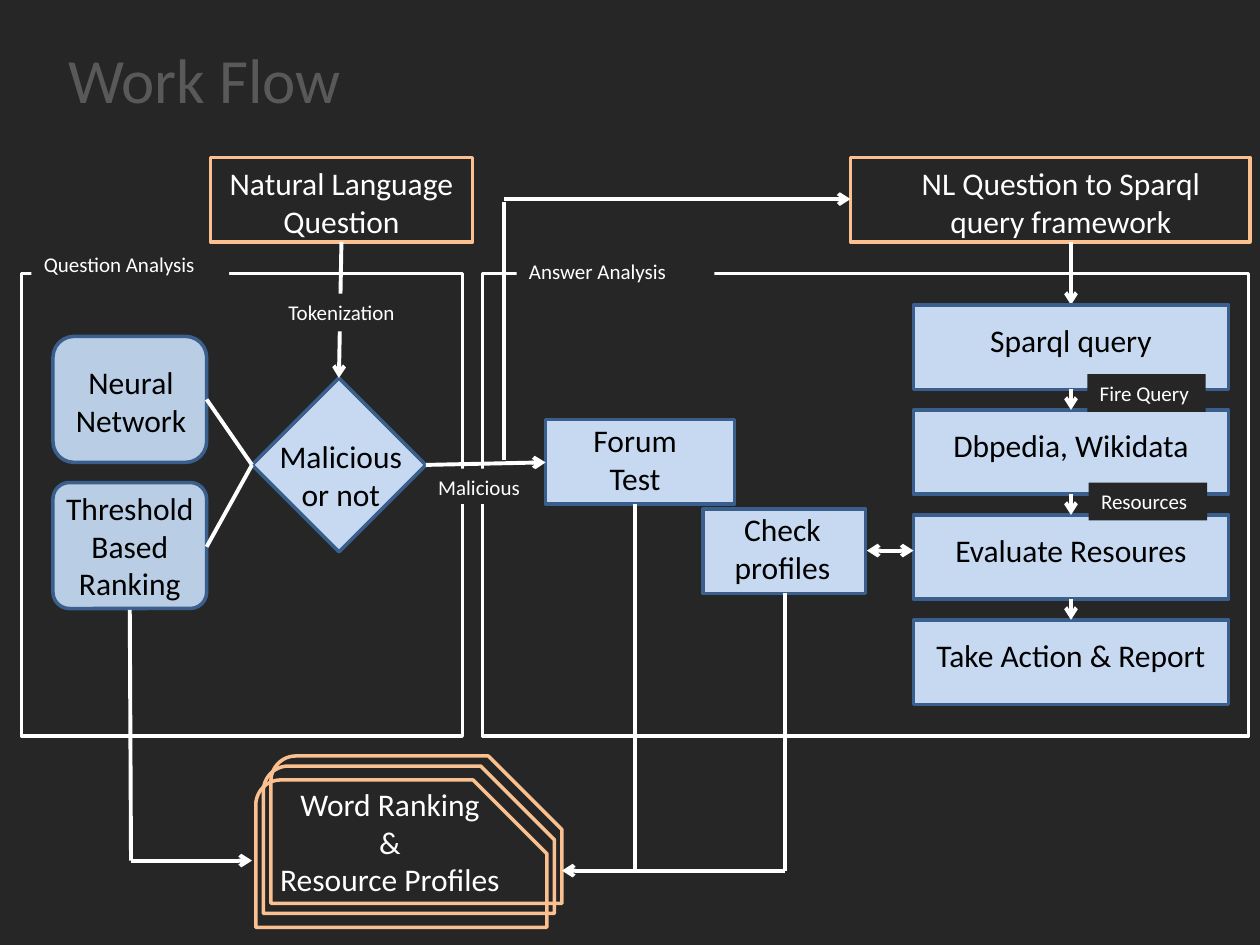
"""Build the work flow slide: question analysis, answer analysis and ranking."""
from dataclasses import dataclass

from pptx import Presentation
from pptx import util as u
from pptx.dml.color import RGBColor
from pptx.enum import shapes, text
from pptx.oxml import ns, xmlchemy as xml

Kind = shapes.MSO_SHAPE


@dataclass(frozen=True)
class Theme:
    """Hold the colours, type sizes and line widths of the slide."""
    back: str = "262626"
    title: str = "595959"
    white: str = "FFFFFF"
    black: str = "000000"
    peach: str = "FAC090"
    edge: str = "3A5F8C"
    pale: str = "C6D9F1"
    blue: str = "B9CDE5"
    font: str = "Calibri"
    head: int = 36
    body: int = 18
    note: int = 12
    rim: float = 2
    wire: float = 2.25


THEME = Theme()


def rgb(code):
    """Turn a hex code into a colour."""
    return RGBColor.from_string(code)


def inch(sizes):
    """Turn numbers into lengths."""
    return [u.Inches(size) for size in sizes]


def add_box(page, at, line=None, fill=None, kind=Kind.RECTANGLE, bends=()):
    """Add a preset shape with an optional line and fill."""
    box = page.shapes.add_shape(kind, *inch(at))
    box.shadow.inherit = False
    for spot, bend in enumerate(bends):
        box.adjustments[spot] = bend
    if fill:
        box.fill.solid()
        box.fill.fore_color.rgb = rgb(fill)
    else:
        box.fill.background()
    if line:
        box.line.color.rgb = rgb(line)
        box.line.width = u.Pt(THEME.rim)
    else:
        box.line.fill.background()
    return box


def write(box, words, color, size=THEME.body, align=text.PP_ALIGN.CENTER):
    """Write wrapped text into a shape, one paragraph a line."""
    frame = box.text_frame
    frame.word_wrap = True
    frame.vertical_anchor = text.MSO_ANCHOR.TOP
    frame.text = words
    for para in frame.paragraphs:
        para.alignment = align
        para.font.name = THEME.font
        para.font.size = u.Pt(size)
        para.font.color.rgb = rgb(color)
    return frame


def add_text(page, at, words, color=THEME.black, size=THEME.body):
    """Add a centred text box."""
    return write(page.shapes.add_textbox(*inch(at)), words, color, size)


def add_label(page, at, words):
    """Add a small label that hides what lies behind it."""
    box = add_box(page, at, fill=THEME.back)
    write(box, words, THEME.white, THEME.note, text.PP_ALIGN.LEFT)


def add_line(page, start, end, ends=()):
    """Add a white line with arrows at the named ends."""
    line = page.shapes.add_connector(
        shapes.MSO_CONNECTOR.STRAIGHT, *inch(start + end))
    line.line.color.rgb = rgb(THEME.white)
    line.line.width = u.Pt(THEME.wire)
    stroke = line.line._get_or_add_ln()
    for end in ends:
        tip = xml.OxmlElement(f"a:{end}")
        tip.set("type", "arrow")
        stroke.append(tip)
    line.element.find(ns.qn("p:spPr")).append(xml.OxmlElement("a:effectLst"))


def add_frames(page):
    """Add the two analysis frames and the two outlined starts."""
    add_box(page, (3.83, 2.17, 6.08, 3.67), THEME.white)
    add_box(page, (0.17, 2.17, 3.5, 3.67), THEME.white)
    add_box(page, (6.75, 1.25, 3.17, 0.67), THEME.peach)
    add_box(page, (1.67, 1.25, 2.08, 0.67), THEME.peach)
    add_text(page, (1.67, 1.25, 2.08, 0.71), "Natural Language Question",
             THEME.white)
    add_text(page, (6.92, 1.25, 3, 0.71),
             "NL Question to Sparql query framework", THEME.white)


def add_steps(page):
    """Add the column of query steps with arrows between them."""
    names = ("Sparql query", "Dbpedia, Wikidata", "Evaluate Resoures",
             "Take Action & Report")
    gap = 2.5 / 3
    add_line(page, (8.5, 1.92), (8.5, 2.42), ("tailEnd",))
    for row, name in enumerate(names):
        top = 2.42 + row * gap
        add_box(page, (7.25, top, 2.5, 0.67), THEME.edge, THEME.pale)
        add_text(page, (7.25, top + 0.08, 2.5, 0.4), name)
        if row:
            add_line(page, (8.5, top + 0.67 - gap), (8.5, top), ("tailEnd",))


def add_checks(page):
    """Add the filled boxes that test the question and the profiles."""
    soft = Kind.ROUNDED_RECTANGLE
    checks = (
        ((5.58, 4.04, 1.29, 0.67), THEME.pale, Kind.RECTANGLE, (),
         (5.67, 4, 1.08, 0.71), "Check profiles"),
        ((4.33, 3.33, 1.5, 0.67), THEME.pale, Kind.RECTANGLE, (),
         (4.5, 3.29, 1.08, 0.71), "Forum Test"),
        ((0.42, 2.67, 1.22, 1), THEME.blue, soft, (),
         (0.5, 2.83, 1.08, 0.71), "Neural Network"),
        ((0.42, 3.83, 1.22, 1), THEME.blue, soft, (0.13,),
         (0.42, 3.83, 1.22, 1.01), "Threshold Based Ranking"),
        ((2, 3, 1.38, 1.38), THEME.pale, Kind.DIAMOND, (),
         (2.08, 3.42, 1.25, 0.71), "Malicious or not"),
    )
    for at, fill, kind, bends, spot, words in checks:
        add_box(page, at, THEME.edge, fill, kind, bends)
        add_text(page, spot, words)


def add_cards(page):
    """Add the grouped stack of ranking cards."""
    stack = page.shapes.add_group_shape()
    for left, top in ((2.15, 6), (2.09, 6.08), (2.03, 6.19)):
        add_box(stack, (left, top, 2.31, 1.17), THEME.peach,
                kind=Kind.SNIP_ROUND_RECTANGLE, bends=(0.17, 0.5))
    add_text(stack, (2, 6.18, 2.19, 1.29),
             "Word Ranking\n&\nResource Profiles", THEME.white)


def add_flow(page):
    """Add the lines that join the parts."""
    tail = ("tailEnd",)
    flows = (
        ((1.64, 4.34), (2, 3.69), ()),
        ((1.64, 3.17), (2, 3.69), ()),
        ((3.38, 3.69), (4.33, 3.67), tail),
        ((6.88, 4.37), (7.25, 4.37), ("headEnd", "tailEnd")),
        ((6.23, 4.71), (6.23, 6.91), ()),
        ((5.04, 4), (5.04, 6.91), ()),
        ((6.23, 6.91), (4.46, 6.91), tail),
        ((1.03, 4.84), (1.04, 6.83), ()),
        ((1.04, 6.83), (2, 6.83), tail),
        ((2.71, 1.92), (2.69, 3), tail),
        ((4, 1.6), (4, 3.65), ()),
        ((4, 1.58), (6.75, 1.58), tail),
    )
    for start, end, ends in flows:
        add_line(page, start, end, ends)


def add_labels(page):
    """Add the small labels over frames and lines."""
    labels = (
        ((2.19, 2.33, 1.12, 0.3), "Tokenization"),
        ((3.38, 3.72, 0.87, 0.28), "Malicious"),
        ((8.63, 2.97, 0.94, 0.3), "Fire Query"),
        ((8.64, 3.83, 0.94, 0.3), "Resources"),
        ((0.25, 1.95, 1.57, 0.3), "Question Analysis"),
        ((4.1, 2, 1.57, 0.3), "Answer Analysis"),
    )
    for at, words in labels:
        add_label(page, at, words)


def main():
    """Build and save the slide."""
    deck = Presentation()
    deck.slide_width, deck.slide_height = inch((10, 7.5))
    page = deck.slides.add_slide(deck.slide_layouts[6])
    page.background.fill.solid()
    page.background.fill.fore_color.rgb = rgb(THEME.back)
    title = add_text(page, (-0.75, -0.42, 4.75, 2.08), "Work Flow",
                     THEME.title, THEME.head)
    title.vertical_anchor = text.MSO_ANCHOR.MIDDLE
    for part in (add_frames, add_steps, add_checks, add_cards, add_flow,
                 add_labels):
        part(page)
    deck.save("out.pptx")


if __name__ == "__main__":
    main()
